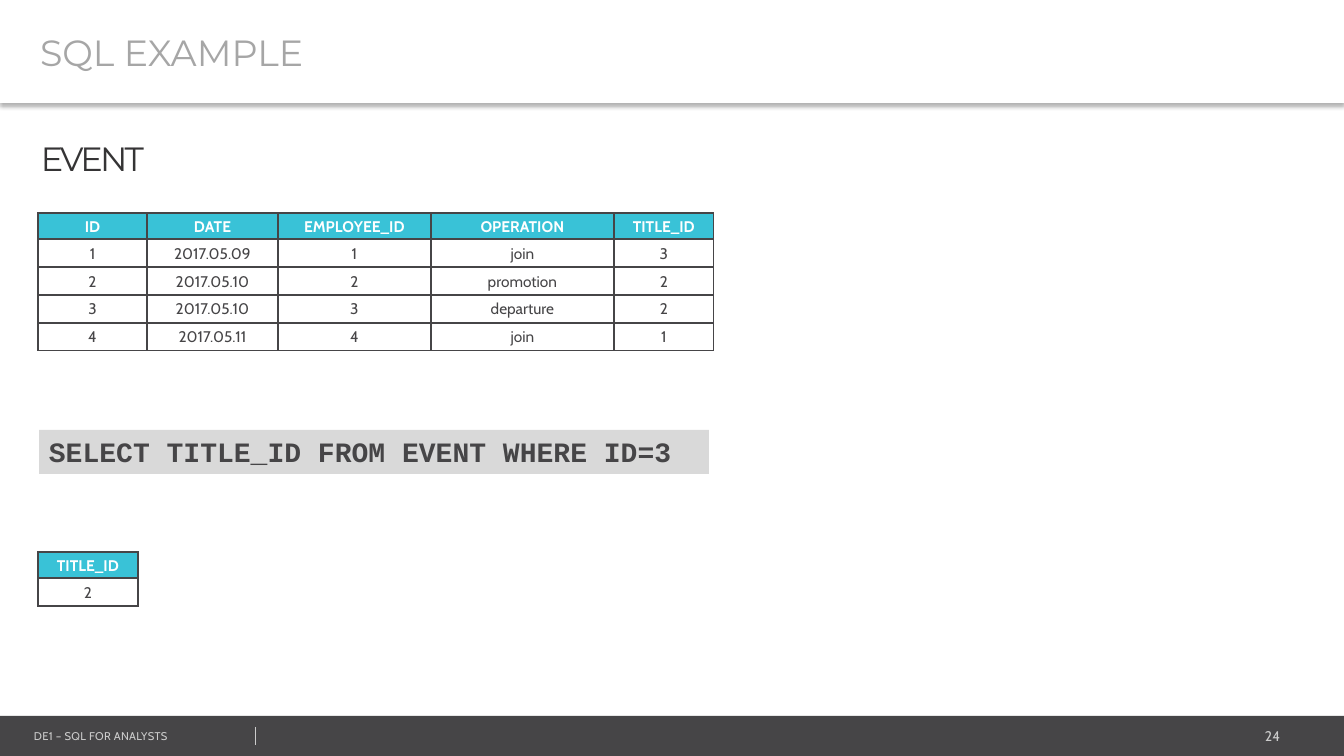
from lxml.etree import SubElement
from pptx import Presentation
from pptx.dml.color import RGBColor
from pptx.enum.shapes import MSO_CONNECTOR, MSO_SHAPE
from pptx.enum.text import MSO_ANCHOR, PP_ALIGN
from pptx.oxml.ns import qn
from pptx.util import Pt

# Content
TITLE = "SQL EXAMPLE"
TABLE_NAME = "EVENT"
EVENT_ROWS = [
    ("ID", "DATE", "EMPLOYEE_ID", "OPERATION", "TITLE_ID"),
    ("1", "2017.05.09", "1", "join", "3"),
    ("2", "2017.05.10", "2", "promotion", "2"),
    ("3", "2017.05.10", "3", "departure", "2"),
    ("4", "2017.05.11", "4", "join", "1"),
]
EVENT_WIDTHS = (109, 131, 153, 183, 100)
QUERY = "SELECT TITLE_ID FROM EVENT WHERE ID=3"
RESULT_ROWS = [("TITLE_ID",), ("2",)]
COURSE = "DE1 – SQL FOR ANALYSTS"
PAGE = "24"

# Colours and measures
DARK = RGBColor(0x46, 0x45, 0x47)
HEADING = RGBColor(0x35, 0x34, 0x35)
MUTED = RGBColor(0xA6, 0xA6, 0xA6)
PALE = RGBColor(0xCC, 0xCC, 0xCC)
CODE_BACK = RGBColor(0xD9, 0xD9, 0xD9)
TEAL = RGBColor(0x39, 0xC2, 0xD7)
WHITE = RGBColor(0xFF, 0xFF, 0xFF)
WIDTH, HEIGHT = 1344, 756
LEFT = 38
HEADER_ROW, BODY_ROW = 26, 28


def px(length):
    return round(length * 914400 / 100.8)


def write(frame, text, font_name, size, color, bold=False,
          align=PP_ALIGN.LEFT, spacing=0):
    frame.text = text
    paragraph = frame.paragraphs[0]
    paragraph.alignment = align
    run = paragraph.runs[0]
    run.font.name = font_name
    run.font.size = Pt(size)
    run.font.bold = bold
    run.font.color.rgb = color
    if spacing:
        run._r.get_or_add_rPr().set("spc", str(spacing))


def add_bar(left, top, width, height, color):
    bar = slide.shapes.add_shape(
        MSO_SHAPE.RECTANGLE, px(left), px(top), px(width), px(height))
    bar.shadow.inherit = False
    bar.fill.solid()
    bar.fill.fore_color.rgb = color
    bar.line.fill.background()
    return bar


def add_label(left, top, width, height, *text_style, wrap=True, **options):
    frame = slide.shapes.add_textbox(
        px(left), px(top), px(width), px(height)).text_frame
    frame.word_wrap = wrap
    write(frame, *text_style, **options)


def add_borders(cell):
    properties = cell._tc.get_or_add_tcPr()
    for side in ("lnL", "lnR", "lnT", "lnB"):
        border = SubElement(properties, qn(f"a:{side}"), w=str(Pt(1)))
        fill = SubElement(border, qn("a:solidFill"))
        SubElement(fill, qn("a:srgbClr"), val=str(DARK))


def add_data_table(top, rows, widths):
    height = HEADER_ROW + BODY_ROW * (len(rows) - 1)
    table = slide.shapes.add_table(
        len(rows), len(widths), px(LEFT), px(top),
        px(sum(widths)), px(height)).table
    for column, width in zip(table.columns, widths):
        column.width = px(width)
    for r, values in enumerate(rows):
        is_header = r == 0
        table.rows[r].height = px(HEADER_ROW if is_header else BODY_ROW)
        for c, value in enumerate(values):
            cell = table.cell(r, c)
            cell.margin_left = cell.margin_right = cell.margin_top = px(1)
            cell.margin_bottom = 0
            cell.vertical_anchor = MSO_ANCHOR.MIDDLE
            add_borders(cell)
            cell.fill.solid()
            cell.fill.fore_color.rgb = TEAL if is_header else WHITE
            write(cell.text_frame, value, "Cabin", 11,
                  WHITE if is_header else DARK, is_header, PP_ALIGN.CENTER)


deck = Presentation()
deck.slide_width, deck.slide_height = px(WIDTH), px(HEIGHT)
slide = deck.slides.add_slide(deck.slide_layouts[6])

# Footer
add_bar(0, 716, WIDTH, 40, DARK)
add_label(1070, 723, 220, 27, PAGE, "Cabin", 10, PALE, align=PP_ALIGN.RIGHT)
add_label(24, 724, 341, 24, COURSE, "Cabin", 8, PALE, spacing=20)
divider = slide.shapes.add_connector(
    MSO_CONNECTOR.STRAIGHT, px(255), px(727), px(255), px(745))
divider.line.color.rgb = PALE
divider.line.width = Pt(0.25)
SubElement(divider.element.spPr, qn("a:effectLst"))

# Title band with a soft shadow below
title_band = add_bar(0, 0, WIDTH, 103, WHITE)
effects = title_band.element.spPr.find(qn("a:effectLst"))
shadow = SubElement(effects, qn("a:outerShdw"), blurRad=str(Pt(3.1)),
                    dist=str(Pt(2)), dir="5400000", algn="t", rotWithShape="0")
shade = SubElement(shadow, qn("a:srgbClr"), val="000000")
SubElement(shade, qn("a:alpha"), val="30000")
title_band.text_frame.margin_left = px(40)
title_band.text_frame.vertical_anchor = MSO_ANCHOR.MIDDLE
write(title_band.text_frame, TITLE, "Montserrat", 26, MUTED)

# Query
query_box = add_bar(39, 430, 670, 44, CODE_BACK)
query_box.text_frame.vertical_anchor = MSO_ANCHOR.TOP
write(query_box.text_frame, QUERY, "Courier New", 20, DARK, True)

# Event table and query result
add_label(31, 133, 134, 50, TABLE_NAME, "Montserrat", 24, HEADING,
          wrap=False, spacing=-200)
add_data_table(213, EVENT_ROWS, EVENT_WIDTHS)
add_data_table(552, RESULT_ROWS, EVENT_WIDTHS[-1:])

deck.save("out.pptx")
